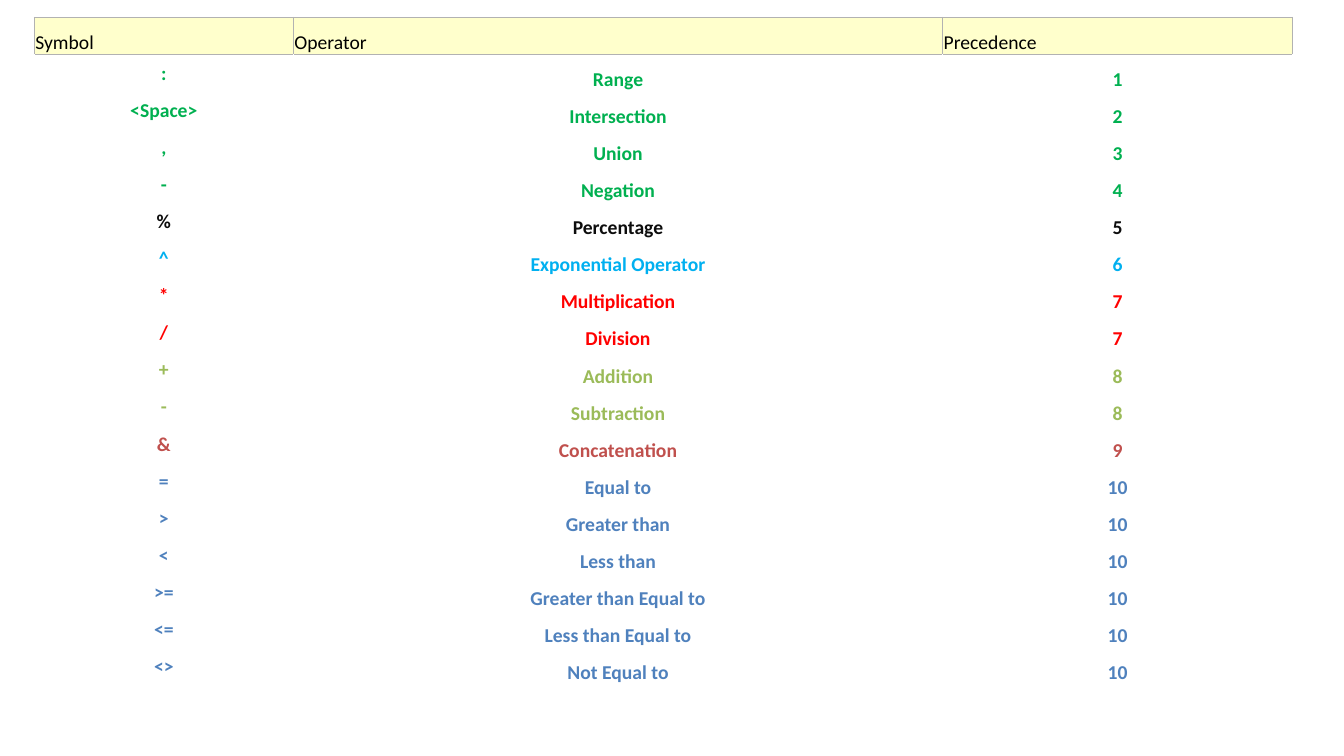
"""Build a slide with a table of spreadsheet operators and their precedence."""
from dataclasses import dataclass

import lxml.etree
import pptx
import pptx.dml.color
import pptx.enum.text
import pptx.oxml.ns
import pptx.table
import pptx.util

BLACK = pptx.dml.color.RGBColor(0x00, 0x00, 0x00)
CHARCOAL = pptx.dml.color.RGBColor(0x0D, 0x0D, 0x0D)
GREEN = pptx.dml.color.RGBColor(0x00, 0xB0, 0x50)
SKY = pptx.dml.color.RGBColor(0x00, 0xB0, 0xF0)
RED = pptx.dml.color.RGBColor(0xFF, 0x00, 0x00)
OLIVE = pptx.dml.color.RGBColor(0x9B, 0xBB, 0x59)
BRICK = pptx.dml.color.RGBColor(0xC0, 0x50, 0x4D)
BLUE = pptx.dml.color.RGBColor(0x4F, 0x81, 0xBD)
HEADER_FILL = pptx.dml.color.RGBColor(0xFF, 0xFF, 0xCC)
BORDER = pptx.dml.color.RGBColor(0xB2, 0xB2, 0xB2)

MIDDLE = pptx.enum.text.MSO_ANCHOR.MIDDLE
BOTTOM = pptx.enum.text.MSO_ANCHOR.BOTTOM
LEFT = pptx.enum.text.PP_ALIGN.LEFT
CENTER = pptx.enum.text.PP_ALIGN.CENTER


@dataclass(frozen=True)
class Operator:
    symbol: str
    name: str
    precedence: int
    color: pptx.dml.color.RGBColor


HEADINGS = ("Symbol", "Operator", "Precedence")
COLUMN_WIDTHS = (2.57, 6.44, 3.47)
OPERATORS = (
    Operator(":", "Range", 1, GREEN),
    Operator("<Space>", "Intersection", 2, GREEN),
    Operator(",", "Union", 3, GREEN),
    Operator("-", "Negation", 4, GREEN),
    Operator("%", "Percentage", 5, CHARCOAL),
    Operator("^", "Exponential Operator", 6, SKY),
    Operator("*", "Multiplication", 7, RED),
    Operator("/", "Division", 7, RED),
    Operator("+", "Addition", 8, OLIVE),
    Operator("-", "Subtraction", 8, OLIVE),
    Operator("&", "Concatenation", 9, BRICK),
    Operator("=", "Equal to", 10, BLUE),
    Operator(">", "Greater than", 10, BLUE),
    Operator("<", "Less than", 10, BLUE),
    Operator(">=", "Greater than Equal to", 10, BLUE),
    Operator("<=", "Less than Equal to", 10, BLUE),
    Operator("<>", "Not Equal to", 10, BLUE),
)


def write_cell(
    cell: pptx.table._Cell,
    text: str,
    color: pptx.dml.color.RGBColor,
    bold: bool,
    alignment: pptx.enum.text.PP_ALIGN,
    anchor: pptx.enum.text.MSO_ANCHOR,
) -> None:
    cell.margin_left = cell.margin_right = cell.margin_top = pptx.util.Inches(0.01)
    cell.margin_bottom = pptx.util.Inches(0)
    cell.vertical_anchor = anchor
    cell.text_frame.text = text
    paragraph = cell.text_frame.paragraphs[0]
    paragraph.alignment = alignment
    font = paragraph.runs[0].font
    font.name = "Calibri"
    font.size = pptx.util.Pt(14)
    font.bold = bold
    font.color.rgb = color


def add_borders(cell: pptx.table._Cell, sides: str) -> None:
    qualified = pptx.oxml.ns.qn
    properties = cell._tc.get_or_add_tcPr()
    for position, side in enumerate(sides):
        line = lxml.etree.Element(
            qualified(f"a:ln{side}"), w=str(pptx.util.Pt(0.5))
        )
        fill = lxml.etree.SubElement(line, qualified("a:solidFill"))
        lxml.etree.SubElement(fill, qualified("a:srgbClr"), val=str(BORDER))
        properties.insert(position, line)


def fill_header(table: pptx.table.Table) -> None:
    for column, heading in enumerate(HEADINGS):
        cell = table.cell(0, column)
        write_cell(cell, heading, BLACK, False, LEFT, BOTTOM)
        cell.fill.solid()
        cell.fill.fore_color.rgb = HEADER_FILL
        add_borders(cell, "LRTB")


def fill_operator(table: pptx.table.Table, row: int, operator: Operator) -> None:
    texts = (operator.symbol, operator.name, str(operator.precedence))
    for column, text in enumerate(texts):
        cell = table.cell(row, column)
        anchor = MIDDLE if column == 0 else BOTTOM
        write_cell(cell, text, operator.color, True, CENTER, anchor)
        cell.fill.background()
        if row == 1:
            add_borders(cell, "T")


def main() -> None:
    presentation = pptx.Presentation()
    presentation.slide_width = pptx.util.Inches(13.33)
    presentation.slide_height = pptx.util.Inches(7.5)
    slide = presentation.slides.add_slide(presentation.slide_layouts[6])
    table = slide.shapes.add_table(
        len(OPERATORS) + 1,
        len(HEADINGS),
        pptx.util.Inches(0.34),
        pptx.util.Inches(0.17),
        pptx.util.Inches(sum(COLUMN_WIDTHS)),
        pptx.util.Inches(6.63),
    ).table
    table.first_row = False
    table.horz_banding = False
    for column, width in zip(table.columns, COLUMN_WIDTHS):
        column.width = pptx.util.Inches(width)
    fill_header(table)
    for row, operator in enumerate(OPERATORS, start=1):
        fill_operator(table, row, operator)
    presentation.save("out.pptx")


if __name__ == "__main__":
    main()
